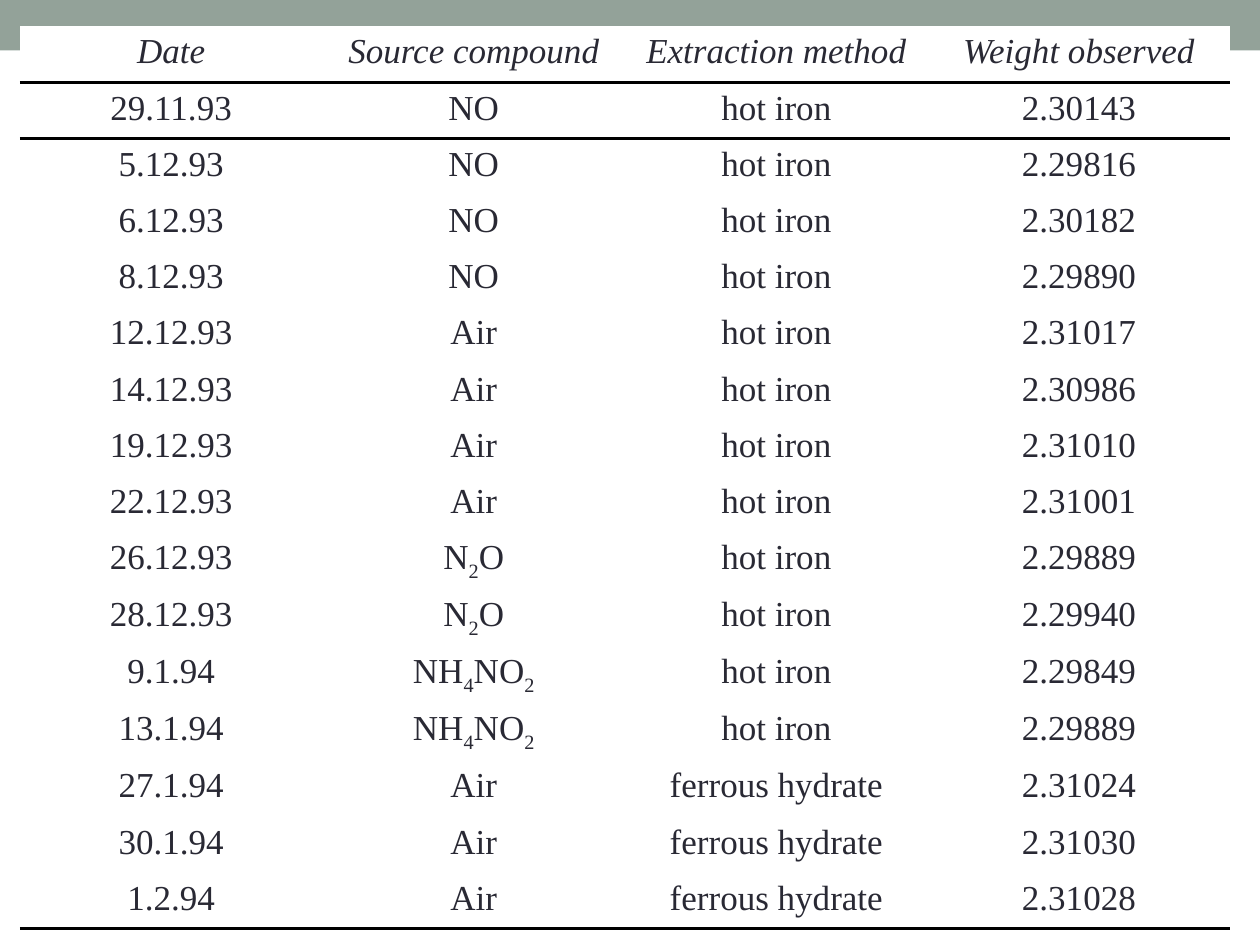
from dataclasses import dataclass
from itertools import groupby

from lxml import etree
from pptx import Presentation
from pptx import util as u
from pptx.dml.color import RGBColor
from pptx.enum import shapes, text
from pptx.oxml.ns import qn


@dataclass(frozen=True)
class Theme:
    band: str = "93A299"
    ink: str = "292934"
    paper: str = "FFFFFF"
    rule: str = "000000"
    font: str = "Times New Roman"
    body_size: int = 20
    rule_width: int = 2
    plain_table: str = "{2D5ABB26-0587-4C30-8999-92F81FD0307C}"


HEADINGS = ("Date", "Source compound", "Extraction method", "Weight observed")
FORMULA_COLUMN = HEADINGS.index("Source compound")
IRON, HYDRATE = "hot iron", "ferrous hydrate"
MEASUREMENTS = [
    ("29.11.93", "NO", IRON, "2.30143"),
    ("5.12.93", "NO", IRON, "2.29816"),
    ("6.12.93", "NO", IRON, "2.30182"),
    ("8.12.93", "NO", IRON, "2.29890"),
    ("12.12.93", "Air", IRON, "2.31017"),
    ("14.12.93", "Air", IRON, "2.30986"),
    ("19.12.93", "Air", IRON, "2.31010"),
    ("22.12.93", "Air", IRON, "2.31001"),
    ("26.12.93", "N2O", IRON, "2.29889"),
    ("28.12.93", "N2O", IRON, "2.29940"),
    ("9.1.94", "NH4NO2", IRON, "2.29849"),
    ("13.1.94", "NH4NO2", IRON, "2.29889"),
    ("27.1.94", "Air", HYDRATE, "2.31024"),
    ("30.1.94", "Air", HYDRATE, "2.31030"),
    ("1.2.94", "Air", HYDRATE, "2.31028"),
]


class SlideBuilder:
    def __init__(self, slide, theme):
        self.slide = slide
        self.theme = theme

    def band(self, left, top, width, height):
        band = self.slide.shapes.add_shape(
            shapes.MSO_SHAPE.RECTANGLE, left, top, width, height)
        band.shadow.inherit = False
        band.fill.solid()
        band.fill.fore_color.rgb = RGBColor.from_string(self.theme.band)
        band.line.fill.background()

    def table(self, rows, left, top, width, height):
        frame = self.slide.shapes.add_table(
            len(rows), len(rows[0]), left, top, width, height)
        grid = frame.table
        grid.horz_banding = False
        grid._tbl.tblPr.find(qn("a:tableStyleId")).text = self.theme.plain_table
        last = len(rows) - 1
        for r, values in enumerate(rows):
            for c, value in enumerate(values):
                cell = grid.cell(r, c)
                self.cell(cell, value, heading=r == 0,
                          formula=r > 0 and c == FORMULA_COLUMN)
                # Rules under the headings and under the last row
                if r in (0, last):
                    self.rule(cell, "a:lnB")
                if r == 1:
                    self.rule(cell, "a:lnT")

    def cell(self, cell, value, heading, formula):
        cell.fill.solid()
        cell.fill.fore_color.rgb = RGBColor.from_string(self.theme.paper)
        line = cell.text_frame.paragraphs[0]
        line.alignment = text.PP_ALIGN.CENTER
        line.font.name = self.theme.font
        line.font.size = u.Pt(self.theme.body_size)
        line.font.italic = heading
        line.font.color.rgb = RGBColor.from_string(self.theme.ink)
        if not formula:
            line.add_run().text = value
            return
        # Digits in a formula are subscripts
        for is_digit, part in groupby(value, str.isdigit):
            run = line.add_run()
            run.text = "".join(part)
            if is_digit:
                run.font._element.set("baseline", "-25000")

    def rule(self, cell, edge):
        border = etree.Element(qn(edge), w=str(u.Pt(self.theme.rule_width)))
        fill = etree.SubElement(border, qn("a:solidFill"))
        etree.SubElement(fill, qn("a:srgbClr"), val=self.theme.rule)
        cell._tc.get_or_add_tcPr().insert(0, border)


def main():
    deck = Presentation()
    deck.slide_width, deck.slide_height = u.Cm(25.4), u.Cm(19.05)
    builder = SlideBuilder(deck.slides.add_slide(deck.slide_layouts[6]), Theme())

    # Top band
    builder.band(0, 0, deck.slide_width, u.Cm(1.02))

    # Density measurements
    builder.table([HEADINGS, *MEASUREMENTS],
                  u.Cm(0.4), u.Cm(0.53), u.Cm(24.4), u.Cm(18.14))

    deck.save("out.pptx")


if __name__ == "__main__":
    main()
